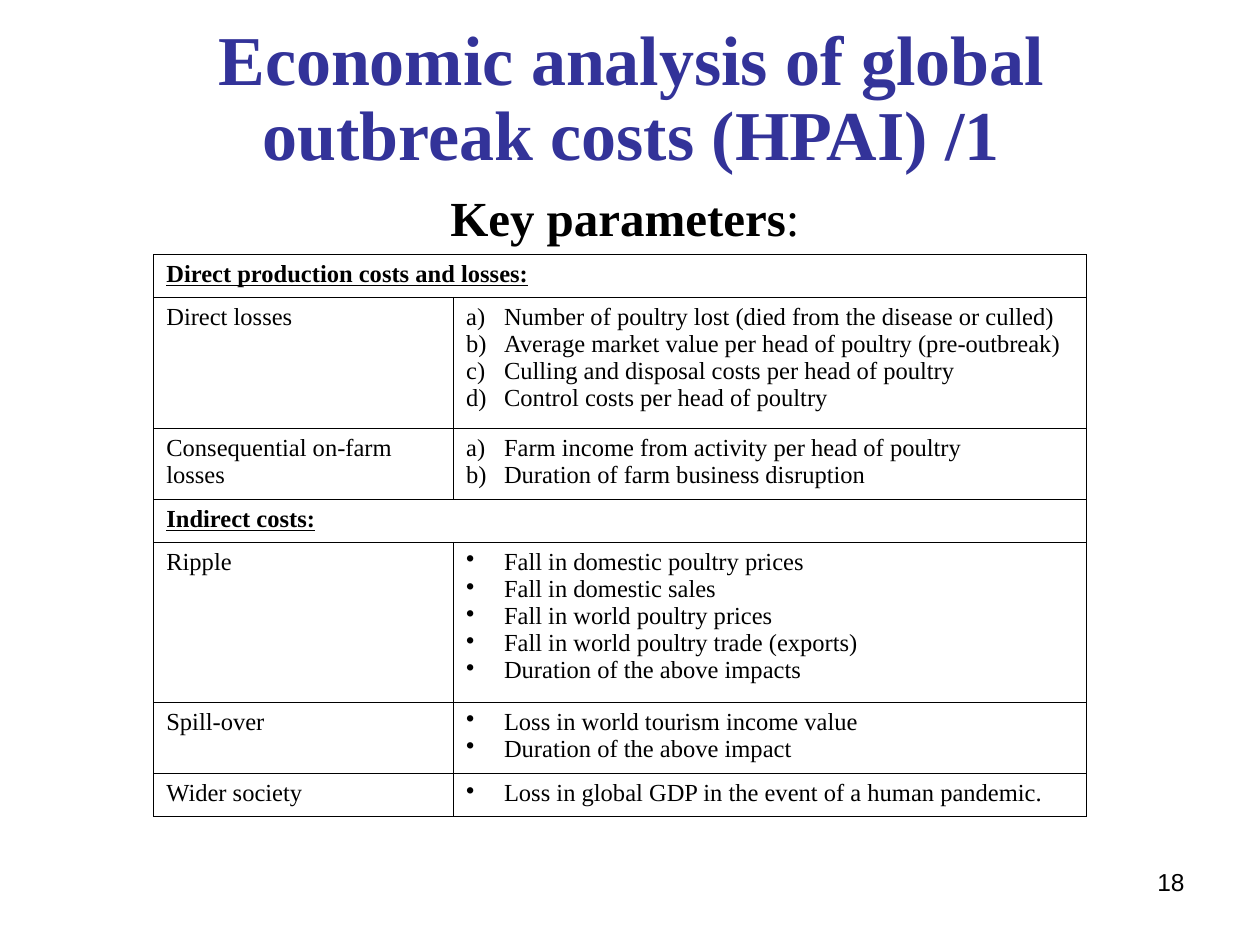
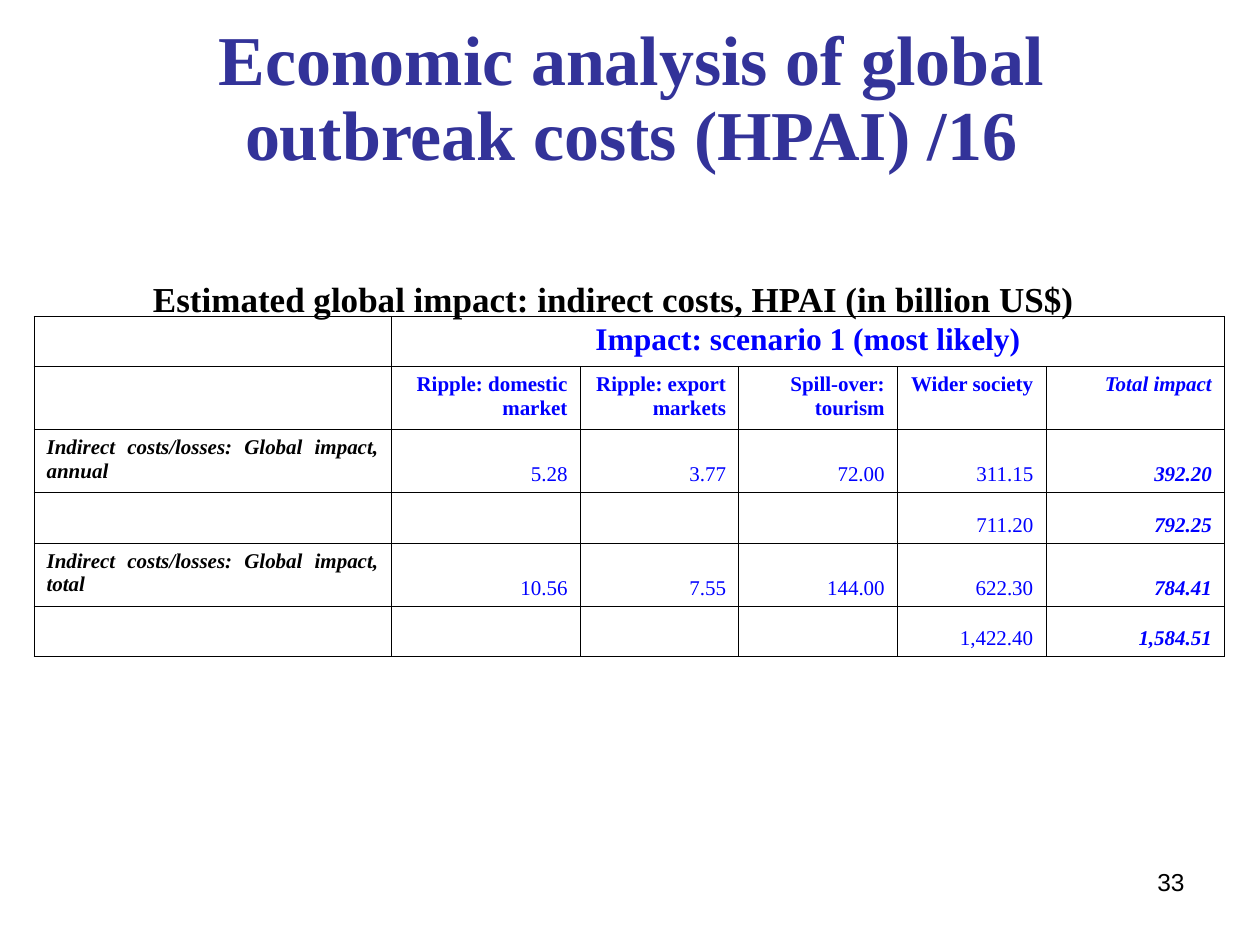
from pptx import Presentation
from pptx.dml.color import RGBColor as Rgb
from pptx.enum.text import MSO_ANCHOR as Anchor, MSO_AUTO_SIZE as Fit, PP_ALIGN as Align
from pptx.oxml.ns import qn
from pptx.util import Inches, Pt
from lxml.etree import SubElement as Sub

HUES = {"title": "333399", "ink": "000000", "data": "0000FF"}
SERIF, SANS = "Times New Roman", "Arial"
COLS, ROWS = 100, 75
WIDE, HIGH = Inches(10), Inches(7.5)

TITLE = "Economic analysis of global outbreak costs (HPAI) /"
HEAD_BOX = (5.1, 3.6, 90, 8.7)
PAGE_BOX = (71.7, 68.3, 23.3, 5.2)

COSTS = [
    ("Direct production costs and losses:", None, []),
    ("Direct losses", "abc", [
        "Number of poultry lost (died from the disease or culled)",
        "Average market value per head of poultry (pre-outbreak)",
        "Culling and disposal costs per head of poultry",
        "Control costs per head of poultry"]),
    ("Consequential on-farm losses", "abc", [
        "Farm income from activity per head of poultry",
        "Duration of farm business disruption"]),
    ("Indirect costs:", None, []),
    ("Ripple", "dot", [
        "Fall in domestic poultry prices",
        "Fall in domestic sales",
        "Fall in world poultry prices",
        "Fall in world poultry trade (exports)",
        "Duration of the above impacts"]),
    ("Spill-over", "dot", [
        "Loss in world tourism income value",
        "Duration of the above impact"]),
    ("Wider society", "dot", [
        "Loss in global GDP in the event of a human pandemic."]),
]

SCENE = "Impact: scenario 1 (most likely)"
IMPACTS = [
    ["", "Ripple: domestic market", "Ripple: export markets",
     "Spill-over: tourism", "Wider society", "Total impact"],
    ["Indirect costs/losses: Global impact, annual",
     "5.28", "3.77", "72.00", "311.15", "392.20"],
    ["", "", "", "", "711.20", "792.25"],
    ["Indirect costs/losses: Global impact, total",
     "10.56", "7.55", "144.00", "622.30", "784.41"],
    ["", "", "", "", "1,422.40", "1,584.51"],
]


def place(box):
    """Turn a box in grid columns and rows into slide lengths."""
    x, y, w, h = box
    return [int(v) for v in (x * WIDE / COLS, y * HIGH / ROWS,
                             w * WIDE / COLS, h * HIGH / ROWS)]


def style(frame, size, hue="ink", font=SERIF, align=Align.LEFT, **flags):
    """Format every paragraph and run of a text frame."""
    for para in frame.paragraphs:
        para.alignment = align
        for run in para.runs:
            run.font.name, run.font.size = font, Pt(size)
            run.font.color.rgb = Rgb.from_string(HUES[hue])
            for name, value in flags.items():
                setattr(run.font, name, value)


def label(slide, box, text, size, wrap=True, **look):
    """Add a text box and return its frame."""
    frame = slide.shapes.add_textbox(*place(box)).text_frame
    frame.word_wrap = wrap
    frame.text = text
    style(frame, size, **look)
    return frame


def base(deck, part, page):
    """Add a slide with the shared title and page number."""
    slide = deck.slides.add_slide(deck.slide_layouts[5])
    head = slide.shapes.title
    head.left, head.top, head.width, head.height = place(HEAD_BOX)
    frame = head.text_frame
    frame.text = f"{TITLE}{part}"
    frame.word_wrap, frame.auto_size = True, Fit.NONE
    frame.vertical_anchor = Anchor.MIDDLE
    style(frame, 40, "title", align=Align.CENTER, bold=True)
    frame.paragraphs[0].line_spacing = 0.9
    label(slide, PAGE_BOX, str(page), 14, font=SANS, align=Align.RIGHT)
    return slide


def edge(cell):
    """Clear a cell's fill and rule its four sides."""
    cell.fill.background()
    props = cell._tc.get_or_add_tcPr()
    for at, side in enumerate("LRTB"):
        line = Sub(props, qn(f"a:ln{side}"), w=str(Pt(0.45)))
        Sub(Sub(line, qn("a:solidFill")), qn("a:srgbClr"), val=HUES["ink"])
        props.insert(at, line)


def grid(slide, box, cols, rows):
    """Add a ruled table whose columns and rows share out the box."""
    x, y, w, h = place(box)
    table = slide.shapes.add_table(len(rows), len(cols), x, y, w, h).table
    table.first_row = table.horz_banding = False
    for col, part in zip(table.columns, cols):
        col.width = int(w * part / sum(cols))
    for row, part in zip(table.rows, rows):
        row.height = int(h * part / sum(rows))
    for cell in table.iter_cells():
        edge(cell)
    return table


def bullet(para, kind):
    """Give a paragraph a hanging letter or dot."""
    props = para._p.get_or_add_pPr()
    props.set("marL", str(Inches(0.3)))
    props.set("indent", str(-Inches(0.3)))
    if kind == "abc":
        Sub(props, qn("a:buAutoNum"), type="alphaLcParenR")
    else:
        Sub(props, qn("a:buChar"), char="•")


def costs(slide, box):
    """Fill the table of key parameters."""
    table = grid(slide, box, [2.38, 5.02], [0.34, 1.04, 0.57, 0.34, 1.27, 0.57, 0.34])
    for row, (name, kind, items) in enumerate(COSTS):
        cell, body = table.cell(row, 0), table.cell(row, 1)
        cell.text_frame.text = name
        if not items:
            cell.merge(body)
        style(cell.text_frame, 14, bold=not items, underline=not items)
        if items:
            body.text_frame.text = "\n".join(items)
            for para in body.text_frame.paragraphs:
                bullet(para, kind)
            style(body.text_frame, 14, align=Align.JUSTIFY)


def impacts(slide, box):
    """Fill the table of estimated impacts."""
    table = grid(slide, box, [2.84, 1.5, 1.26, 1.26, 1.18, 1.42],
                 [0.4, 0.5, 0.5, 0.4, 0.5, 0.4])
    top = table.cell(0, 1)
    top.merge(table.cell(0, 5))
    top.text_frame.text = SCENE
    style(top.text_frame, 18, "data", align=Align.CENTER, bold=True)
    for row, texts in enumerate(IMPACTS, 1):
        for col, text in enumerate(texts):
            if not text:
                continue
            cell = table.cell(row, col)
            cell.text_frame.text = text
            side, total = col == 0, col == 5
            if row > 1 and not side:
                cell.vertical_anchor = Anchor.BOTTOM
            style(cell.text_frame, 12, "ink" if side else "data",
                  align=Align.JUSTIFY if side else Align.RIGHT,
                  bold=side or total or row == 1, italic=side or total)


def main():
    """Build both slides and save the deck."""
    deck = Presentation()
    deck.slide_width, deck.slide_height = WIDE, HIGH

    slide = base(deck, 1, 18)
    frame = label(slide, (4.3, 14.7, 90.6, 6.3), "Key parameters", 28,
                  align=Align.CENTER, bold=True)
    frame.paragraphs[0].line_spacing = 0.95
    colon = frame.paragraphs[0].add_run()
    colon.text = ":"
    colon.font.name, colon.font.size = SERIF, Pt(28)
    colon.font.color.rgb = Rgb.from_string(HUES["ink"])
    costs(slide, (12.2, 20.2, 74, 44.6))

    slide = base(deck, 16, 33)
    frame = label(slide, (11, 21.5, 75.4, 4.4),
                  "Estimated global impact: indirect costs, HPAI (in billion US$)",
                  20, wrap=False, align=Align.CENTER, bold=True)
    frame.vertical_anchor = Anchor.MIDDLE
    impacts(slide, (2.7, 25.1, 94.5, 27))

    deck.save("out.pptx")


if __name__ == "__main__":
    main()
